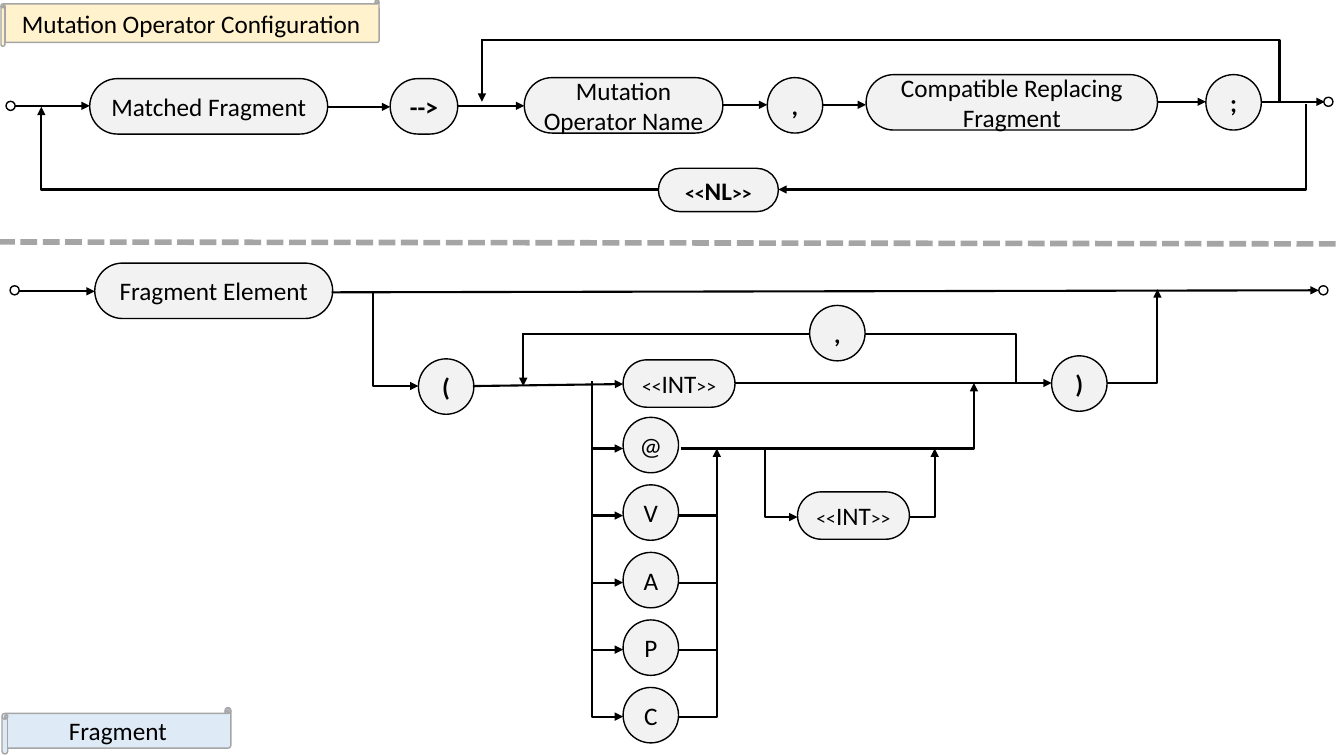
import pptx
import pptx.util
import pptx.dml.color
import pptx.enum.dml
import pptx.enum.shapes
import pptx.enum.text
import pptx.oxml.ns
import lxml.etree

CELL = 0.1  # grid cell in inches; the slide is 133.3 columns by 75 rows
WIDE, HIGH = 133.3, 75
DOT = 0.9
BALL = 5.5
FORMS = pptx.enum.shapes.MSO_SHAPE
LINKS = pptx.enum.shapes.MSO_CONNECTOR
TEXT = {"name": "Calibri", "bold": False}
FRAME = {"word_wrap": True, "margin_left": 0, "margin_right": 0,
         "vertical_anchor": pptx.enum.text.MSO_ANCHOR.MIDDLE}


def size(cells):
    return pptx.util.Inches(cells * CELL)


def tint(code):
    return pptx.dml.color.RGBColor.from_string(code)


def apply(item, values):
    for key, value in values.items():
        setattr(item, key, value)


class Area:
    """A region of the slide; places parts in cells from its corner."""

    def __init__(self, slide, box):
        self.shapes = slide.shapes
        self.left, self.top, self.width, self.height = box

    def spot(self, col, row):
        return size(self.left + col), size(self.top + row)

    def form(self, kind, col, row, wide, high, fill, edge="000000"):
        shape = self.shapes.add_shape(
            kind, *self.spot(col, row), size(wide), size(high))
        shape.shadow.inherit = False
        shape.fill.solid()
        shape.fill.fore_color.rgb = tint(fill)
        shape.line.color.rgb = tint(edge)
        shape.line.width = pptx.util.Pt(1)
        return shape

    def letter(self, shape, text, bold=False):
        frame = shape.text_frame
        apply(frame, FRAME)
        for i, words in enumerate(text.split("\n")):
            para = frame.add_paragraph() if i else frame.paragraphs[0]
            para.alignment = pptx.enum.text.PP_ALIGN.CENTER
            runs = [(words, 18)]
            if words.startswith("<<"):
                runs = [("<<", 14), (words[2:-2], 18), (">>", 14)]
            for part, points in runs:
                run = para.add_run()
                run.text = part
                apply(run.font, {**TEXT, "bold": bold,
                                 "size": pptx.util.Pt(points)})
                run.font.color.rgb = tint("000000")

    def node(self, text, col, row, wide=BALL, high=BALL, bold=False):
        shape = self.form(FORMS.ROUNDED_RECTANGLE, col, row, wide, high, "F2F2F2")
        shape.adjustments[0] = 0.5
        self.letter(shape, text, bold)

    def dot(self, col, row):
        self.form(FORMS.OVAL, col, row - DOT / 2, DOT, DOT, "FFFFFF")

    def label(self, text, col, row, wide, fill, curl):
        shape = self.form(FORMS.HORIZONTAL_SCROLL, col, row, wide, 4.6, fill, "A5A5A5")
        shape.adjustments[0] = curl
        self.letter(shape, text)

    def wire(self, start, end, tip="", bend=False, color="000000", points=1.5):
        """Straight line, or a bend that runs across first, then up or down."""
        kind = LINKS.ELBOW if bend else LINKS.STRAIGHT
        line = self.shapes.add_connector(kind, *self.spot(*start), *self.spot(*end))
        line.line.color.rgb = tint(color)
        line.line.width = pptx.util.Pt(points)
        props = line._element.spPr
        name = pptx.oxml.ns.qn
        if bend:
            props.find(name("a:prstGeom")).set("prst", "bentConnector2")
        if tip:
            stroke = props.find(name("a:ln"))
            lxml.etree.SubElement(stroke, name("a:" + tip)).set("type", "triangle")
        lxml.etree.SubElement(props, name("a:effectLst"))
        return line


def config(slide, box):
    area = Area(slide, box)
    area.label("Mutation Operator Configuration", 0.1, 0, 37.5, "FFF2CC", 0.085)

    # Main track
    nodes = [("Matched Fragment", 8.9, 7.8, 23.6, False),
             ("-->", 38.7, 7.8, 6.7, True),
             ("Mutation\nOperator Name", 52, 7.7, 19.7, False),
             (",", 76.1, 7.7, BALL, True),
             ("Compatible Replacing Fragment", 85.9, 7.4, 28.9, False),
             (";", 119.6, 7.4, BALL, True)]
    for text, col, row, wide, bold in nodes:
        area.node(text, col, row, wide, bold=bold)
    starts = [1.4] + [col + wide for _, col, _, wide, _ in nodes]
    ends = [col for _, col, *_ in nodes] + [131.4]
    rows = [10.5, 10.6, 10.5, 10.4, 10.4, 10.1, 10.1]
    for start, end, row in zip(starts, ends, rows):
        area.wire((start, row), (end, row), "tailEnd")
    area.dot(0.6, 10.5)
    area.dot(131.3, 10.1)

    # Loops back: operator list above, new line below
    area.wire((47.8, 4), (126.9, 10.1), bend=True)
    area.wire((47.8, 3.9), (47.8, 10.1), "tailEnd")
    area.node("<<NL>>", 65.3, 16.7, 11.9, 4.3, True)
    area.wire((77.2, 18.8), (129.5, 10.3), "headEnd", True)
    area.wire((65.3, 18.8), (4.1, 10.6), "tailEnd", True)

    # Divider
    line = area.wire((-0.2, area.height), (132.6, area.height + 0.2),
                     color="A5A5A5", points=4)
    line.line.dash_style = pptx.enum.dml.MSO_LINE.SQUARE_DOT


def fragment(slide, box):
    area = Area(slide, box)
    area.label("Fragment", 0.2, 46.2, 22.7, "DEEBF7", 0.125)

    # Main track
    area.node("Fragment Element", 9.4, 2.1, 23.6)
    area.wire((1.9, 4.9), (9.4, 4.9), "tailEnd")
    area.wire((32.9, 5), (130.8, 4.8), "tailEnd")
    area.dot(1, 4.8)
    area.dot(130.8, 4.8)

    # Bracketed part
    area.node("(", 41.5, 11.6, bold=True)
    area.node(")", 104.3, 11.3, bold=True)
    area.node("<<INT>>", 61.8, 11.7, 11.1, 4.7)
    area.wire((41.5, 14.3), (37, 4.9), "headEnd", True)
    area.wire((46.9, 14.3), (61.8, 14.1), "tailEnd")
    area.wire((72.9, 14), (104.3, 14), "tailEnd")
    area.wire((109.8, 14), (114.8, 4.7), "tailEnd", True)

    # Comma loop
    area.node(",", 80.3, 6.3, bold=True)
    area.wire((85.8, 9.1), (100.8, 14), bend=True)
    area.wire((80.3, 9.1), (51.9, 9.1))
    area.wire((51.9, 9), (51.9, 14.3), "tailEnd")

    # Choices, each joined to the row above it
    first, step = 20.5, 6.65
    for i, text in enumerate("@VAPC"):
        row = first + i * step
        area.node(text, 61.8, 17.4 + i * 6.7)
        area.wire((61.8, row), (58.7, row - step), "headEnd", True)
        if i:
            tip = "tailEnd" if i == 1 else ""
            area.wire((67.3, row), (71.1, row - step), tip, True)

    # Optional number after a choice
    area.wire((67.5, first), (96.6, 14), "tailEnd", True)
    area.node("<<INT>>", 79.1, 24.8, 11.1, 4.7)
    area.wire((79.1, 27.3), (75.9, first), "headEnd", True)
    area.wire((90.2, 27.3), (92.7, first), "tailEnd", True)


deck = pptx.Presentation()
deck.slide_width, deck.slide_height = size(WIDE), size(HIGH)
page = deck.slides.add_slide(deck.slide_layouts[6])
SPLIT = 24
config(page, (0, 0, WIDE, SPLIT))
fragment(page, (0, SPLIT, WIDE, HIGH - SPLIT))
deck.save("out.pptx")
